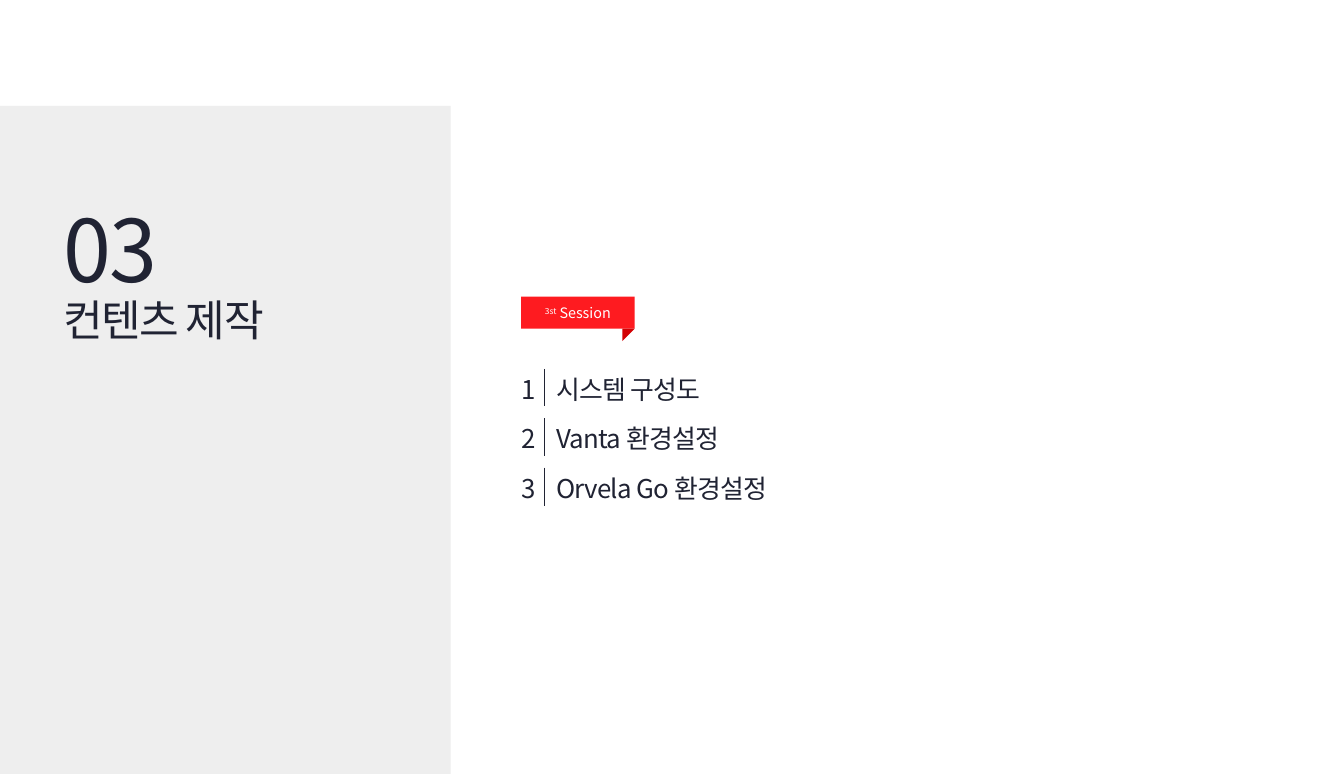
import pptx
import pptx.dml.color
import pptx.enum.shapes
import pptx.enum.text
import pptx.oxml
import pptx.oxml.ns
import pptx.util

RGBColor = pptx.dml.color.RGBColor
Align = pptx.enum.text.PP_ALIGN
Anchor = pptx.enum.text.MSO_ANCHOR
Preset = pptx.enum.shapes.MSO_SHAPE

INK = RGBColor(0x20, 0x23, 0x33)
PANEL = RGBColor(0xEE, 0xEE, 0xEE)
RIBBON = RGBColor(0xFE, 0x1B, 0x20)
FOLD = RGBColor(0xD3, 0x01, 0x04)
WHITE = RGBColor(0xFF, 0xFF, 0xFF)

FONT = "Noto Sans CJK KR"
WIDTH, HEIGHT = pptx.util.Inches(12.99), pptx.util.Inches(7.48)
COLUMNS, ROWS = 130, 75
TOPICS = ["시스템 구성도", "Vanta 환경설정", "Orvela Go 환경설정"]


def write(paragraph, text, size=18, color=INK, spacing=0, raised=0, align=Align.LEFT):
    """Add a formatted run to a paragraph."""
    paragraph.alignment = align
    run = paragraph.add_run()
    run.text = text
    run.font.size = pptx.util.Pt(size)
    run.font.name = FONT
    run.font.color.rgb = color
    properties = run.font._element
    properties.set("spc", str(int(spacing * 100)))
    if raised:
        properties.set("baseline", str(raised * 1000))
    east_asian = pptx.oxml.parse_xml(
        f'<a:ea {pptx.oxml.ns.nsdecls("a")} typeface="{FONT}"/>')
    properties.find(pptx.oxml.ns.qn("a:latin")).addnext(east_asian)


class SlideBuilder:
    """Place styled elements on a slide by grid columns and rows."""

    def __init__(self, slide):
        self.slide = slide

    def across(self, columns):
        """Return the length of a number of grid columns."""
        return int(WIDTH * columns / COLUMNS)

    def down(self, rows):
        """Return the length of a number of grid rows."""
        return int(HEIGHT * rows / ROWS)

    def box(self, left, top, width, height):
        """Turn a grid position into slide lengths."""
        return self.across(left), self.down(top), self.across(width), self.down(height)

    def shape(self, preset, color, *place, rotation=0):
        """Add a plain filled shape."""
        shape = self.slide.shapes.add_shape(preset, *self.box(*place))
        shape.shadow.inherit = False
        shape.fill.solid()
        shape.fill.fore_color.rgb = color
        shape.line.fill.background()
        shape.rotation = rotation
        return shape

    def heading(self, shape, text, size, *place):
        """Place and fill a heading without insets."""
        shape.left, shape.top, shape.width, shape.height = self.box(*place)
        frame = shape.text_frame
        frame.margin_left = frame.margin_right = frame.margin_top = frame.margin_bottom = 0
        frame.word_wrap = True
        frame.auto_size = pptx.enum.text.MSO_AUTO_SIZE.NONE
        frame.vertical_anchor = Anchor.TOP
        write(frame.paragraphs[0], text, size=size, spacing=-1)

    def text(self, text, size, *place):
        """Add a heading as a text box."""
        shape = self.slide.shapes.add_textbox(*self.box(*place))
        self.heading(shape, text, size, *place)

    def title(self, text, size, *place):
        """Fill the title placeholder."""
        self.heading(self.slide.shapes.title, text, size, *place)

    def border(self, cell, side):
        """Draw a hairline on one side of a cell."""
        line = pptx.oxml.parse_xml(
            f'<a:ln{side} {pptx.oxml.ns.nsdecls("a")} w="3175"><a:solidFill>'
            f'<a:srgbClr val="{INK}"/></a:solidFill></a:ln{side}>')
        cell._tc.get_or_add_tcPr().insert(0, line)

    def agenda(self, topics, left, top, widths, row_height, gap):
        """Add a numbered list as a table with spacer rows."""
        count = 2 * len(topics) - 1
        height = row_height * len(topics) + gap * (len(topics) - 1)
        frame = self.slide.shapes.add_table(
            count, 2, *self.box(left, top, sum(widths), height))
        table = frame.table
        table.first_row = table.horz_banding = False
        for column, width in zip(table.columns, widths):
            column.width = self.across(width)
        for index, row in enumerate(table.rows):
            row.height = self.down(gap if index % 2 else row_height)
        for cell in table.iter_cells():
            cell.fill.background()
            cell.margin_left = cell.margin_right = cell.margin_top = cell.margin_bottom = 0
        for index in range(1, count, 2):
            for cell in table.rows[index].cells:
                paragraph = cell.text_frame.paragraphs[0]
                paragraph._p.get_or_add_endParaRPr().set("sz", "400")
        for index, topic in enumerate(topics):
            number, name = table.rows[2 * index].cells
            number.margin_right = self.across(0.8)
            name.margin_left = self.across(1.2)
            write(number.text_frame.paragraphs[0], str(index + 1), align=Align.RIGHT)
            write(name.text_frame.paragraphs[0], topic, spacing=-0.5)
            self.border(number, "R")
            self.border(name, "L")

    def ribbon(self, ordinal, label, left, top, width, height, fold):
        """Add a label ribbon with a folded corner."""
        shape = self.shape(Preset.RECTANGLE, RIBBON, left, top, width, height)
        shape.text_frame.vertical_anchor = Anchor.MIDDLE
        paragraph = shape.text_frame.paragraphs[0]
        style = {"size": 10, "color": WHITE, "align": Align.CENTER}
        write(paragraph, ordinal, raised=30, **style)
        write(paragraph, f" {label}", **style)
        self.shape(Preset.RIGHT_TRIANGLE, FOLD, left + width - fold, top + height,
                   fold, fold, rotation=90)


def main():
    """Build the section slide."""
    presentation = pptx.Presentation()
    presentation.slide_width, presentation.slide_height = WIDTH, HEIGHT
    slide = presentation.slides.add_slide(presentation.slide_layouts[5])
    builder = SlideBuilder(slide)
    panel = builder.shape(Preset.RECTANGLE, PANEL, 0, 10.25, 43.6, ROWS - 10.25)
    slide.shapes.title._element.addprevious(panel._element)
    builder.title("컨텐츠 제작", 30, 6.1, 28.4, 35.8, 10.1)
    builder.agenda(TOPICS, 50.4, 35.8, (2.2, 57.6), 3, 1.15)
    builder.text("03", 60, 6.1, 19.05, 21.3, 10.1)
    builder.ribbon("3st", "Session", 50.4, 28.75, 11, 3.1, 1.2)
    presentation.save("out.pptx")


if __name__ == "__main__":
    main()
